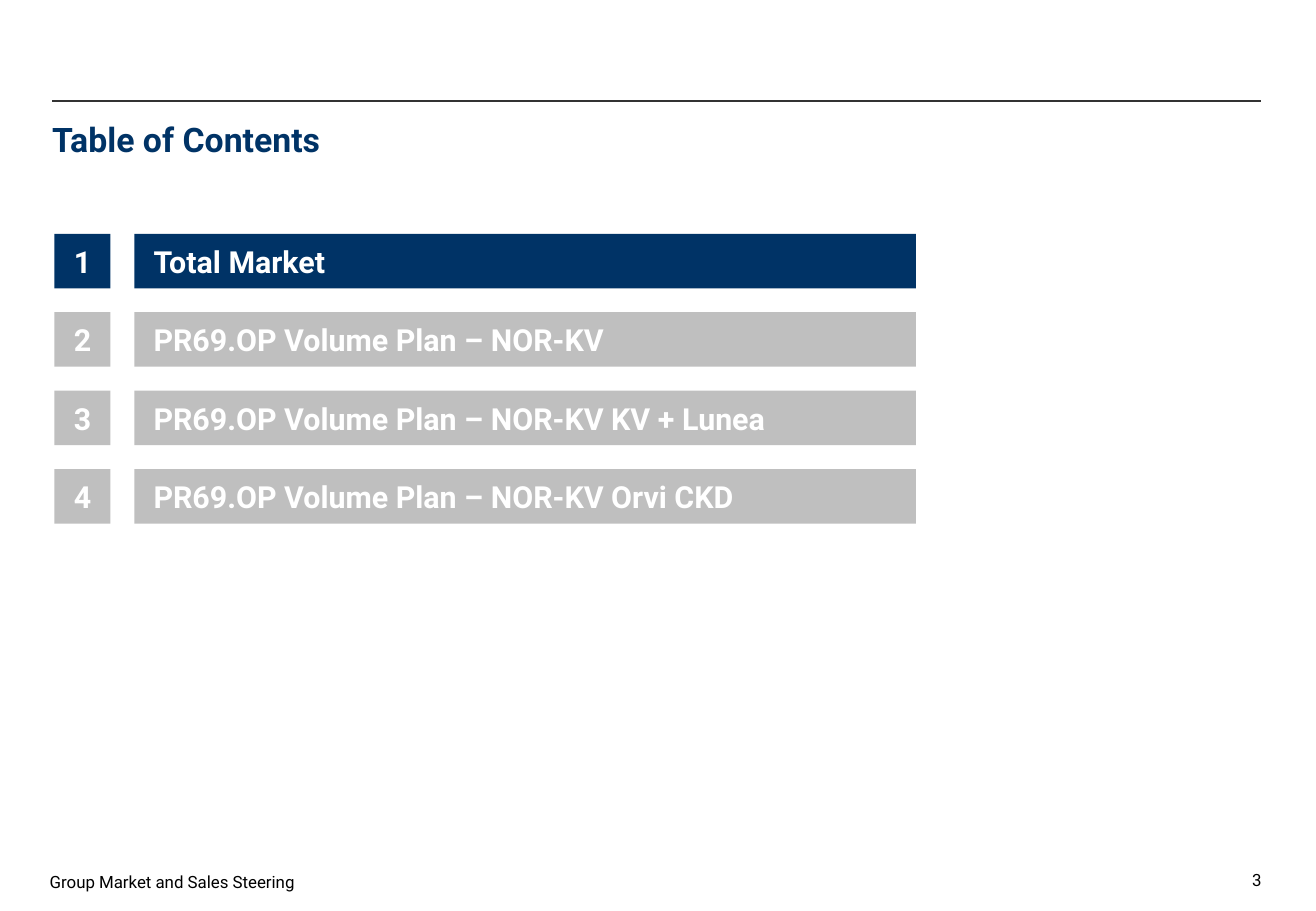
from dataclasses import dataclass

from lxml import etree
from pptx import Presentation
from pptx import util as u
from pptx.dml.color import RGBColor
from pptx.enum import shapes, text
from pptx.oxml import ns

FONT = "Roboto"
NAVY, GREY, WHITE, BLACK, RULE = "003366", "BFBFBF", "FFFFFF", "000000", "333333"
LEFT, RIGHT = 1.09, 26.37
ROW_TOP, ROW_PITCH, ROW_HEIGHT = 4.89, 1.64, 1.14
NUMBER_LEFT, NUMBER_WIDTH = 1.14, 1.17
CHAPTER_LEFT, CHAPTER_WIDTH = 2.81, 16.34
INSET, CHAPTER_INDENT = 0.1, 0.3


@dataclass
class Box:
    """A box in centimetres with one line of text."""
    words: str
    left: float
    top: float
    width: float
    height: float
    size: int
    color: str
    bold: bool = False
    align: text.PP_ALIGN = text.PP_ALIGN.LEFT
    fill: str = ""
    inset: float = 0
    indent: float = 0


def rgb(hex_color: str) -> RGBColor:
    return RGBColor.from_string(hex_color)


def draw_box(slide, box: Box) -> None:
    place = [u.Cm(n) for n in (box.left, box.top, box.width, box.height)]
    if box.fill:
        shape = slide.shapes.add_shape(shapes.MSO_SHAPE.RECTANGLE, *place)
        shape.shadow.inherit = False
        shape.fill.solid()
        shape.fill.fore_color.rgb = rgb(box.fill)
        shape.line.fill.background()
    else:
        shape = slide.shapes.add_textbox(*place)
    frame = shape.text_frame
    frame.text = box.words
    frame.word_wrap = True
    frame.vertical_anchor = text.MSO_ANCHOR.MIDDLE if box.fill else text.MSO_ANCHOR.TOP
    frame.margin_top = frame.margin_right = frame.margin_bottom = u.Cm(box.inset)
    frame.margin_left = u.Cm(box.inset + box.indent)
    paragraph = frame.paragraphs[0]
    paragraph.alignment = box.align
    font = paragraph.runs[0].font
    font.name, font.size, font.bold = FONT, u.Pt(box.size), box.bold
    font.color.rgb = rgb(box.color)


def draw_rule(slide, top: float) -> None:
    rule = slide.shapes.add_connector(
        shapes.MSO_CONNECTOR.STRAIGHT, u.Cm(LEFT), u.Cm(top), u.Cm(RIGHT), u.Cm(top))
    rule.line.color.rgb = rgb(RULE)
    rule.line.width = u.Pt(0.75)
    etree.SubElement(rule._element.spPr, ns.qn("a:effectLst"))


def draw_chapter(slide, index: int, chapter: str, active: bool) -> None:
    top = ROW_TOP + index * ROW_PITCH
    fill = NAVY if active else GREY
    draw_box(slide, Box(str(index + 1), NUMBER_LEFT, top, NUMBER_WIDTH, ROW_HEIGHT, 18, WHITE,
                        True, text.PP_ALIGN.CENTER, fill, INSET))
    draw_box(slide, Box(chapter, CHAPTER_LEFT, top, CHAPTER_WIDTH, ROW_HEIGHT, 18, WHITE,
                        True, fill=fill, inset=INSET, indent=CHAPTER_INDENT))


def main() -> None:
    deck = Presentation()
    deck.slide_width, deck.slide_height = u.Cm(27.51), u.Cm(19.05)
    slide = deck.slides.add_slide(deck.slide_layouts[6])

    # Heading
    draw_rule(slide, 2.11)
    draw_box(slide, Box("Table of Contents", LEFT, 2.49, RIGHT - LEFT, 1.9, 20, NAVY, True))

    # Chapters, the current one in navy
    chapters = [
        "Total Market",
        "PR69.OP Volume Plan – NOR-KV",
        "PR69.OP Volume Plan – NOR-KV KV + Lunea",
        "PR69.OP Volume Plan – NOR-KV Orvi CKD",
    ]
    for index, chapter in enumerate(chapters):
        draw_chapter(slide, index, chapter, active=index == 0)

    # Footer
    draw_box(slide, Box("Group Market and Sales Steering", 1.04, 18.22, 6.2, 0.73, 10, BLACK))
    draw_box(slide, Box("3", RIGHT - 2.03, 18.18, 2.03, 0.5, 10, BLACK,
                        align=text.PP_ALIGN.RIGHT))

    deck.save("out.pptx")


if __name__ == "__main__":
    main()
